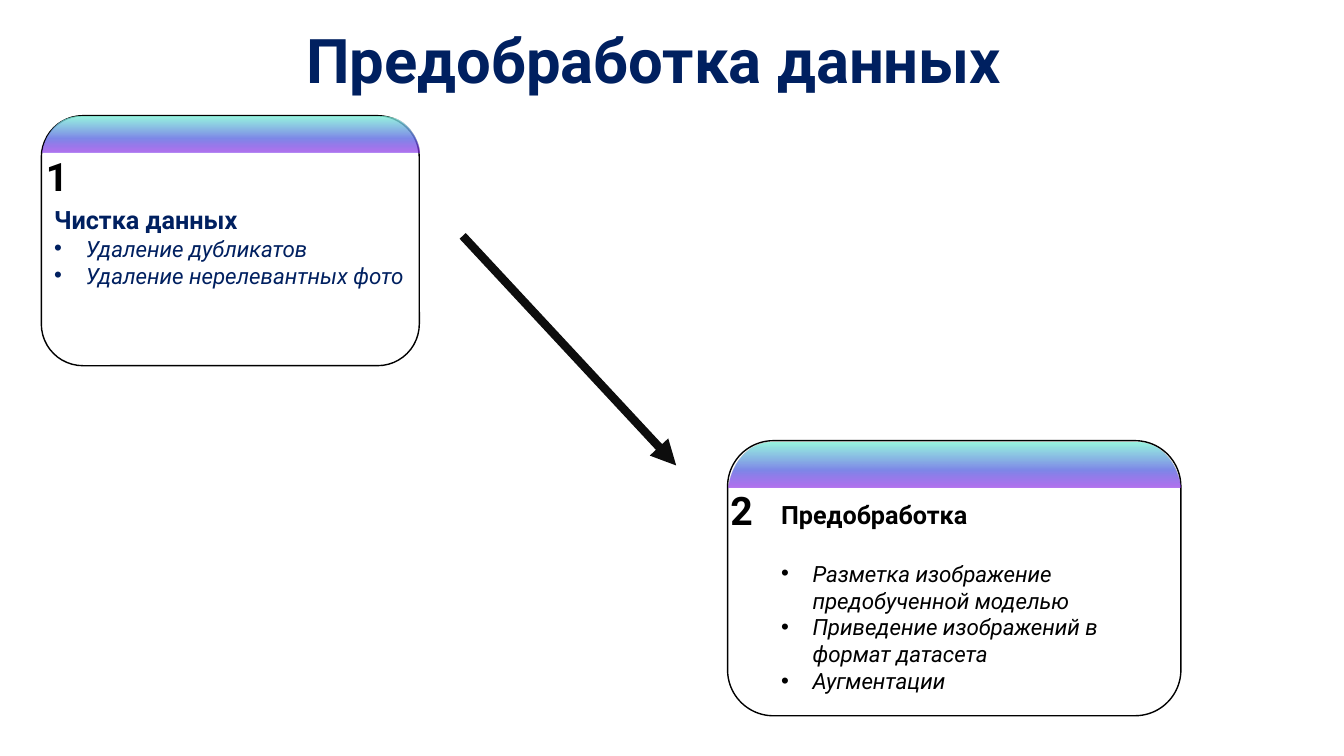
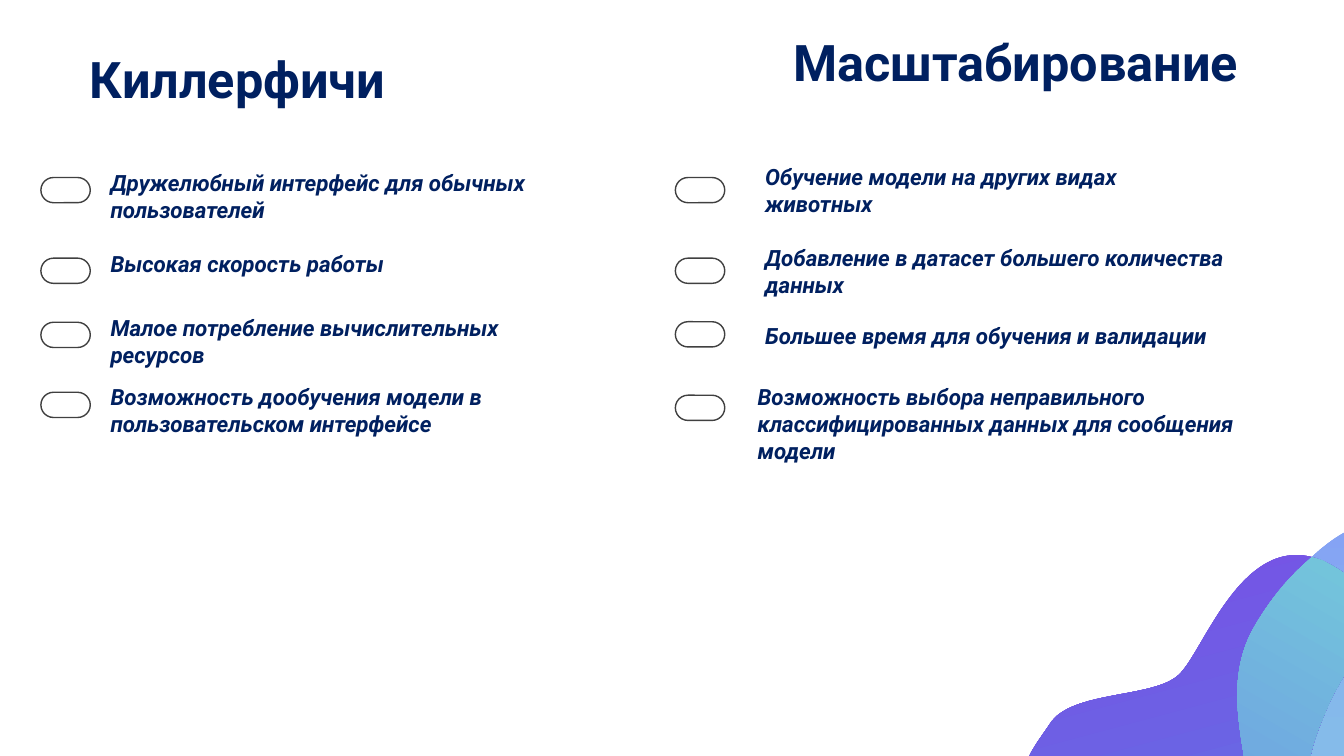
from dataclasses import dataclass

from lxml import etree
from pptx import Presentation
from pptx.dml.color import RGBColor
from pptx.enum import shapes, text
from pptx.oxml import ns
from pptx.util import Pt

Point = tuple[float, float]
Segment = tuple[Point, ...]  # one point: straight; three points: cubic curve
Stops = list[tuple[int, str, int]]  # position %, colour, opacity %


@dataclass(frozen=True)
class Theme:
    font: str = "Roboto"
    navy: str = "002060"
    black: str = "000000"
    white: str = "FFFFFF"
    arrow: str = "0D0D0D"
    pill: str = "404040"
    title: int = 44
    column_title: int = 36
    number: int = 28
    heading: int = 18
    body: int = 16
    title_spacing: int = 40
    bullet_indent: float = 22.5


THEME = Theme()
BAND_STOPS: Stops = [(1, "7CEFD8", 79), (61, "6672E4", 84), (98, "882BE5", 66)]


@dataclass(frozen=True)
class Box:
    left: float
    top: float
    width: float
    height: float

    def lengths(self) -> list[int]:
        return [Pt(v) for v in (self.left, self.top, self.width, self.height)]


@dataclass(frozen=True)
class Outline:
    start: Point
    segments: list[Segment]
    stops: Stops
    angle: float


@dataclass(frozen=True)
class Card:
    frame: Box
    band: Box
    shoulder: Point
    number: str
    number_box: Box
    content_box: Box
    inset: float
    colour: str
    heading: str
    heading_gap: float
    bullets: list[str]


@dataclass(frozen=True)
class Feature:
    words: str
    pill_top: float
    box: Box


@dataclass(frozen=True)
class Column:
    title: str
    title_box: Box
    pill_left: float
    features: list[Feature]


CARDS = [
    Card(Box(29.5, 82.6, 270, 178.6), Box(30.2, 83.5, 269.3, 25.2), (26, 24),
         "1", Box(25.7, 105, 398, 40), Box(38.6, 146.2, 291, 80), 0, THEME.navy,
         "Чистка данных", 0, ["Удаление дубликатов", "Удаление нерелевантных фото"]),
    Card(Box(519.7, 314.8, 323.8, 196.5), Box(520.5, 316, 322.5, 32.4), (30.5, 31),
         "2", Box(514.7, 343.5, 487, 40), Box(550.8, 353.3, 281.5, 148), 7.2, THEME.black,
         "Предобработка", 21.4,
         ["Разметка изображение предобученной моделью",
          "Приведение изображений в формат датасета", "Аугментации"]),
]

COLUMNS = [
    Column("Киллерфичи", Box(64, 37.5, 262, 40), 29.2, [
        Feature("Дружелюбный интерфейс для обычных пользователей", 126.8,
                Box(79, 121, 310, 39)),
        Feature("Высокая скорость работы", 184.4, Box(79, 178.5, 310, 19.5)),
        Feature("Малое потребление вычислительных ресурсов", 230.2, Box(79, 224.5, 310, 39)),
        Feature("Возможность дообучения модели в пользовательском интерфейсе", 280.2,
                Box(79, 273.6, 310, 39)),
    ]),
    Column("Масштабирование", Box(566.5, 25.5, 344, 40), 482.4, [
        Feature("Обучение модели на других видах животных", 126.8,
                Box(546.5, 116.5, 310, 39)),
        Feature("Добавление в датасет большего количества данных", 184.4,
                Box(546.5, 174.3, 329, 39)),
        Feature("Большее время для обучения и валидации", 229.8,
                Box(546.5, 229.9, 384, 19.5)),
        Feature("Возможность выбора неправильного классифицированных данных для "
                "сообщения модели", 282.3, Box(541.2, 273.8, 384, 58)),
    ]),
]

WAVES = [
    Outline((816, 677), [
        ((977, 615), (858, 521), (906, 438)), ((956, 355), (1012, 365), (1027, 382)),
        ((1043, 398), (1047, 415), (1023, 444)), ((999, 471), (1048, 524), (1081, 561)),
        ((1115, 597), (1127, 679), (1047, 696)), ((967, 711), (971, 710), (932, 775)),
        ((894, 839), (847, 837), (847, 837)), ((847, 837), (770, 828), (760, 765)),
        ((749, 701), (816, 677), (816, 677)),
    ], [(0, "859FF6", 100), (35, "85BBEA", 100), (100, "80DEDE", 100)], 90),
    Outline((727, 775), [
        ((727, 775), (755, 837), (872, 797)), ((989, 757), (957, 641), (945, 600)),
        ((932, 559), (930, 548), (947, 508)), ((963, 468), (1007, 432), (948, 402)),
        ((889, 373), (860, 466), (842, 482)), ((824, 499), (765, 493), (750, 517)),
        ((734, 541), (712, 561), (742, 646)), ((742, 646), (768, 685), (732, 730)),
        ((732, 730), (711, 757), (727, 775)),
    ], [(0, "7A4CE5", 100), (50, "666CE4", 100), (100, "7CEFD8", 100)], 75),
    Outline((872, 797), [
        ((819, 815), (784, 812), (762, 804)), ((756, 796), (752, 786), (750, 773)),
        ((739, 709), (807, 686), (807, 686)), ((968, 624), (847, 529), (897, 446)),
        ((910, 424), (924, 409), (937, 398)), ((941, 399), (945, 400), (948, 402)),
        ((1007, 432), (963, 468), (947, 508)), ((930, 547), (932, 559), (945, 600)),
        ((957, 641), (989, 757), (872, 797)),
    ], [(0, "74CADA", 100), (35, "70ABE0", 100), (100, "882BE5", 100)], 120),
]


def apply(target, values: dict) -> None:
    for name, value in values.items():
        setattr(target, name, value)


def set_frame(shape, box: Box, inset: float = 0):
    apply(shape, dict(zip(("left", "top", "width", "height"), box.lengths())))
    frame = shape.text_frame
    margins = {f"margin_{side}": Pt(inset) for side in ("left", "right")}
    margins |= {f"margin_{side}": Pt(inset / 2) for side in ("top", "bottom")}
    apply(frame, margins | {"word_wrap": True, "auto_size": text.MSO_AUTO_SIZE.NONE,
                            "vertical_anchor": text.MSO_ANCHOR.TOP})
    return frame


def add_text_box(page, box: Box, inset: float = 0):
    return set_frame(page.shapes.add_textbox(*box.lengths()), box, inset)


def write(para, words: str, size: float, colour: str, bold: bool = True,
          italic: bool = False) -> None:
    para.alignment = text.PP_ALIGN.LEFT
    span = para.add_run()
    span.text = words
    apply(span.font, {"name": THEME.font, "size": Pt(size), "bold": bold, "italic": italic})
    span.font.color.rgb = RGBColor.from_string(colour)


def write_title(frame, words: str, size: float) -> None:
    para = frame.paragraphs[0]
    para.line_spacing = Pt(THEME.title_spacing)
    write(para, words, size, THEME.navy)


def add_bullet(para) -> None:
    properties = para._p.get_or_add_pPr()
    indent = Pt(THEME.bullet_indent)
    properties.set("marL", str(indent))
    properties.set("indent", str(-indent))
    etree.SubElement(properties, ns.qn("a:buFont"), typeface="Arial")
    etree.SubElement(properties, ns.qn("a:buChar"), char="•")


def add_round_box(page, box: Box, line: str, fill: str | None = None):
    shape = page.shapes.add_shape(shapes.MSO_SHAPE.ROUNDED_RECTANGLE, *box.lengths())
    shape.shadow.inherit = False
    if fill:
        shape.fill.solid()
        shape.fill.fore_color.rgb = RGBColor.from_string(fill)
    else:
        shape.fill.background()
    shape.line.color.rgb = RGBColor.from_string(line)
    shape.line.width = Pt(1)
    return shape


def bend(shape, segments: list[Segment]) -> None:
    """Merge the straight steps of each three-point segment into one cubic curve."""
    steps = iter(list(shape.element.spPr.iter(ns.qn("a:lnTo"))))
    for segment in segments:
        group = [next(steps) for _ in segment]
        if len(group) == 3:
            curve = etree.Element(ns.qn("a:cubicBezTo"))
            group[0].addprevious(curve)
            for step in group:
                curve.append(step[0])
                step.getparent().remove(step)


def fill_gradient(shape, stops: Stops, angle: float) -> None:
    """Fill along an angle that runs clockwise, 90 being downwards."""
    shape.fill.gradient()
    shape.fill.gradient_angle = 360 - angle
    stop_list = next(shape.element.spPr.iter(ns.qn("a:gsLst")))
    for old_stop in list(stop_list):
        stop_list.remove(old_stop)
    for position, colour, opacity in stops:
        stop = etree.SubElement(stop_list, ns.qn("a:gs"), pos=str(position * 1000))
        paint = etree.SubElement(stop, ns.qn("a:srgbClr"), val=colour)
        if opacity < 100:
            etree.SubElement(paint, ns.qn("a:alpha"), val=str(opacity * 1000))


def add_outline(page, outline: Outline) -> None:
    builder = page.shapes.build_freeform(*[Pt(v) for v in outline.start])
    points = [(Pt(x), Pt(y)) for segment in outline.segments for x, y in segment]
    builder.add_line_segments(points, close=True)
    shape = builder.convert_to_shape()
    bend(shape, outline.segments)
    shape.shadow.inherit = False
    shape.line.fill.background()
    fill_gradient(shape, outline.stops, outline.angle)


def band_outline(band: Box, shoulder: Point) -> Outline:
    """Strip with rounded upper corners, each as wide and deep as the shoulder."""
    run, drop = shoulder
    left, top = band.left, band.top
    right, bottom = left + band.width, top + band.height
    return Outline((left + run, top), [
        ((right - run, top),),
        ((right - run * 0.5, top), (right - run * 0.1, top + drop * 0.43),
         (right, top + drop)),
        ((right, bottom),),
        ((left, bottom),),
        ((left, top + drop),),
        ((left + run * 0.1, top + drop * 0.43), (left + run * 0.5, top),
         (left + run, top)),
    ], BAND_STOPS, 90)


def add_card(page, card: Card) -> None:
    add_round_box(page, card.frame, THEME.black, THEME.white)
    add_outline(page, band_outline(card.band, card.shoulder))
    number = add_text_box(page, card.number_box, 7.2)
    write(number.paragraphs[0], card.number, THEME.number, THEME.black)
    frame = add_text_box(page, card.content_box, card.inset)
    heading = frame.paragraphs[0]
    heading.space_after = Pt(card.heading_gap)
    write(heading, card.heading, THEME.heading, card.colour)
    for words in card.bullets:
        para = frame.add_paragraph()
        write(para, words, THEME.body, card.colour, bold=False, italic=True)
        add_bullet(para)


def add_arrow(page, start: Point, end: Point) -> None:
    arrow = page.shapes.add_connector(shapes.MSO_CONNECTOR.STRAIGHT,
                                      *[Pt(v) for v in (*start, *end)])
    arrow.line.color.rgb = RGBColor.from_string(THEME.arrow)
    arrow.line.width = Pt(6)
    etree.SubElement(arrow.line._get_or_add_ln(), ns.qn("a:tailEnd"), type="triangle")
    etree.SubElement(arrow.element.spPr, ns.qn("a:effectLst"))


def add_feature(page, feature: Feature, pill_left: float) -> None:
    pill = add_round_box(page, Box(pill_left, feature.pill_top, 35.3, 18), THEME.pill)
    pill.adjustments[0] = 0.5
    frame = add_text_box(page, feature.box)
    write(frame.paragraphs[0], feature.words, THEME.body, THEME.navy, italic=True)


def build_preprocessing(page) -> None:
    write_title(set_frame(page.shapes.title, Box(218.8, 28.6, 528, 40)),
                "Предобработка данных", THEME.title)
    for card in CARDS:
        add_card(page, card)
    add_arrow(page, (330.5, 168.5), (483, 332.5))


def build_features(page) -> None:
    for wave in WAVES:
        add_outline(page, wave)
    for index, column in enumerate(COLUMNS):
        frame = (add_text_box(page, column.title_box) if index
                 else set_frame(page.shapes.title, column.title_box))
        write_title(frame, column.title, THEME.column_title)
        for feature in column.features:
            add_feature(page, feature, column.pill_left)


def main() -> None:
    deck = Presentation()
    deck.slide_width, deck.slide_height = Pt(960), Pt(540)
    for build in (build_preprocessing, build_features):
        build(deck.slides.add_slide(deck.slide_layouts.get_by_name("Title Only")))
    deck.save("out.pptx")


if __name__ == "__main__":
    main()
